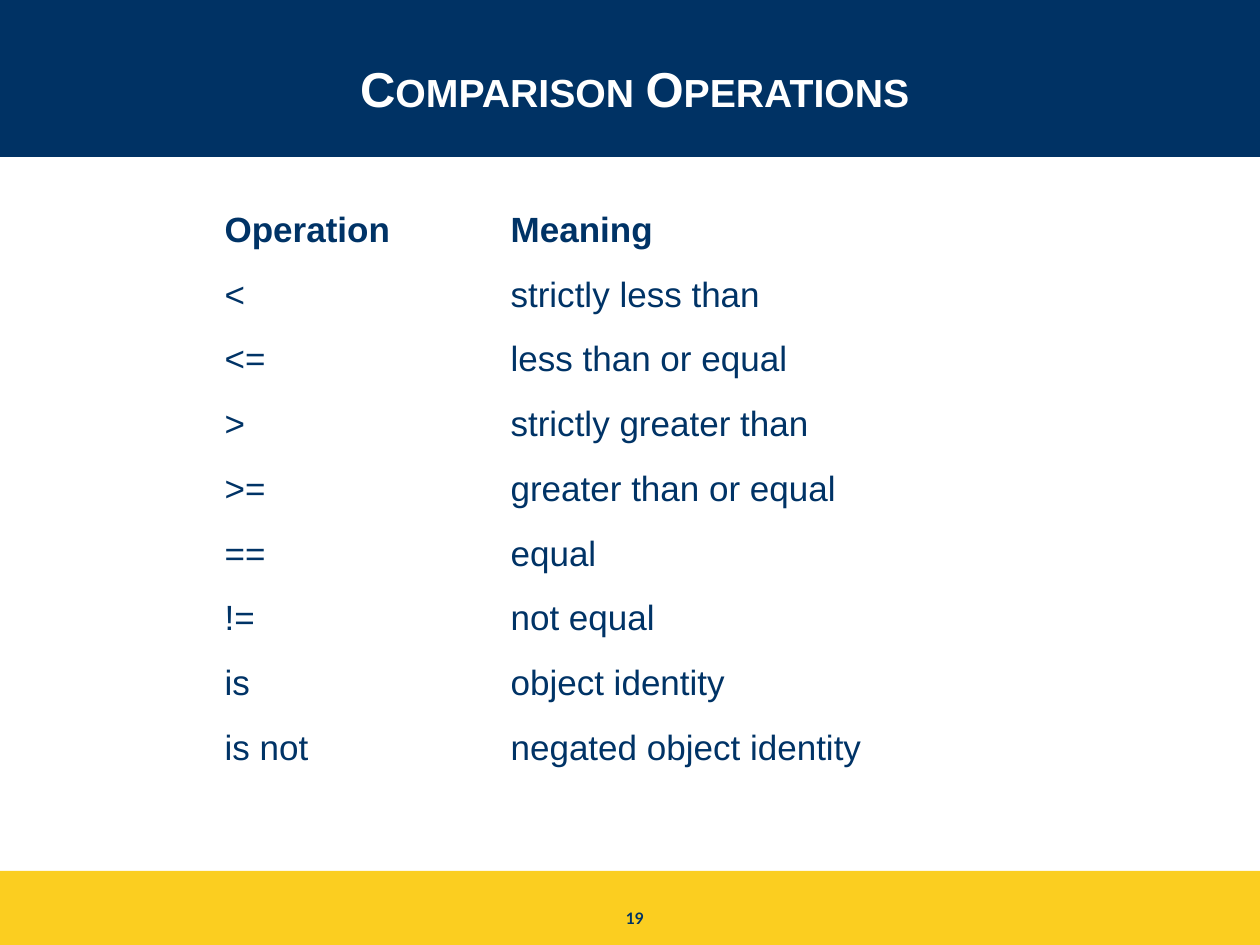
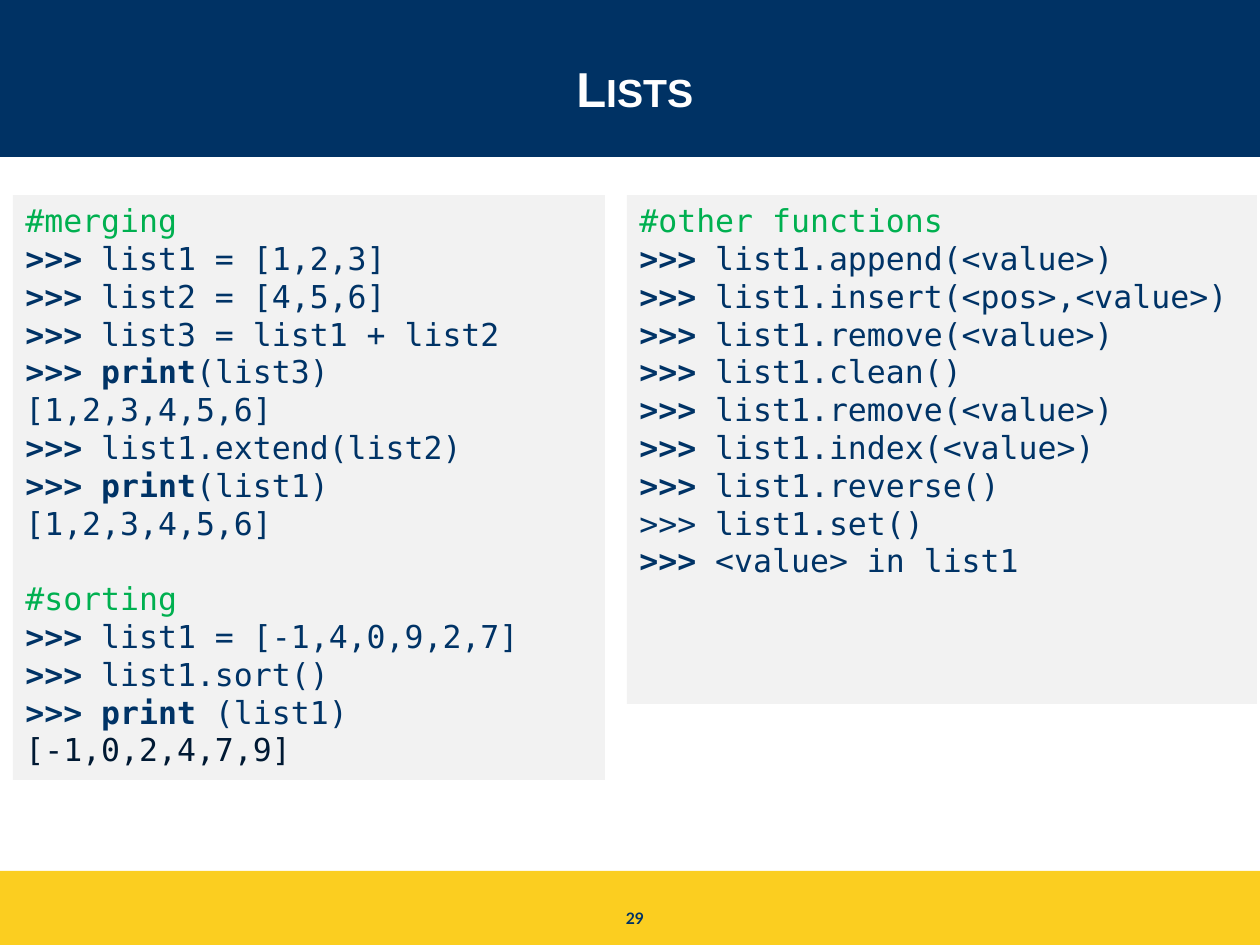
from pptx import Presentation
from pptx.dml.color import RGBColor
from pptx.enum.shapes import MSO_SHAPE
from pptx.enum.text import MSO_ANCHOR, PP_ALIGN
from pptx.util import Pt

RECTANGLE = MSO_SHAPE.RECTANGLE
TOP, MIDDLE = MSO_ANCHOR.TOP, MSO_ANCHOR.MIDDLE
LEFT, CENTER = PP_ALIGN.LEFT, PP_ALIGN.CENTER

EMU_PER_PX = 914400 / 126
PAGE_WIDTH, PAGE_HEIGHT = 1260, 945

COLORS = {
    "navy": "003264",
    "yellow": "FBCE20",
    "white": "FFFFFF",
    "text": "003366",
    "panel": "F2F2F2",
    "comment": "00B050",
    "result": "001933",
}

TITLE = {"name": "Arial", "size": Pt(28), "bold": True}
PAGE_NUMBER = {"name": "Lato", "size": Pt(9), "bold": True}
TABLE_HEAD = {"name": "Arial", "size": Pt(20), "bold": True}
TABLE_BODY = {**TABLE_HEAD, "bold": False}
CODE = {"name": "DejaVu Sans Mono", "size": Pt(18), "bold": False}
CODE_BOLD = {**CODE, "bold": True}
CODE_LINE = Pt(21.6)

OPERATIONS = [
    ("Operation", "Meaning"),
    ("<", "strictly less than"),
    ("<=", "less than or equal"),
    (">", "strictly greater than"),
    (">=", "greater than or equal"),
    ("==", "equal"),
    ("!=", "not equal"),
    ("is", "object identity"),
    ("is not", "negated object identity"),
]


def px(*lengths):
    return [round(length * EMU_PER_PX) for length in lengths]


def rgb(color):
    return RGBColor.from_string(COLORS[color])


def add_span(para, text, style, color):
    span = para.add_run()
    span.text = text
    for name, value in style.items():
        setattr(span.font, name, value)
    span.font.color.rgb = rgb(color)
    return span


def add_rectangle(page, place, color):
    shape = page.shapes.add_shape(RECTANGLE, *px(*place))
    shape.shadow.inherit = False
    shape.fill.solid()
    shape.fill.fore_color.rgb = rgb(color)
    shape.line.fill.background()
    return shape


def add_label(page, place, text, style, color, anchor=TOP):
    box = page.shapes.add_textbox(*px(*place))
    box.text_frame.word_wrap = True
    box.text_frame.vertical_anchor = anchor
    para = box.text_frame.paragraphs[0]
    para.alignment = CENTER
    return add_span(para, text, style, color)


def add_page(deck, title, number):
    """Add a page with the shared bands, its title and its number."""
    page = deck.slides.add_slide(deck.slide_layouts[6])
    add_rectangle(page, (0, 871, PAGE_WIDTH, 74), "yellow")
    add_rectangle(page, (0, 0, PAGE_WIDTH, 157), "navy")
    span = add_label(page, (63, 20, 1144, 136), title, TITLE, "white", MIDDLE)
    span.font._element.set("cap", "small")
    add_label(page, (504, 903, 262, 42), str(number), PAGE_NUMBER, "navy")
    return page


def add_plain_table(page, place, column_widths, rows):
    """Add a table without fills whose first row is bold."""
    frame = page.shapes.add_table(len(rows), len(column_widths), *px(*place))
    table = frame.table
    table.first_row = table.horz_banding = False
    for column, width in zip(table.columns, px(*column_widths)):
        column.width = width
    for row_index, row in enumerate(rows):
        style = TABLE_BODY if row_index else TABLE_HEAD
        for column_index, text in enumerate(row):
            cell = table.cell(row_index, column_index)
            cell.fill.background()
            cell.vertical_anchor = MIDDLE
            add_span(cell.text_frame.paragraphs[0], text, style, "text")


def comment(text):
    return [("#" + text, CODE, "comment")]


def prompt(statement, keyword=""):
    return [(">>> " + keyword, CODE_BOLD, "text"), (statement, CODE, "text")]


def plain(text, color="text"):
    return [(text, CODE, color)]


def add_code_panel(page, place, *blocks):
    """Add a panel of code, with one empty line's height between blocks."""
    frame = add_rectangle(page, place, "panel").text_frame
    frame.word_wrap = True
    frame.vertical_anchor = TOP
    for block_index, block in enumerate(blocks):
        for line_index, line in enumerate(block):
            first = block_index == line_index == 0
            para = frame.paragraphs[0] if first else frame.add_paragraph()
            para.alignment = LEFT
            para.line_spacing = CODE_LINE
            if block_index and not line_index:
                para.space_before = CODE_LINE
            for text, style, color in line:
                add_span(para, text, style, color)


def main():
    deck = Presentation()
    deck.slide_width, deck.slide_height = px(PAGE_WIDTH, PAGE_HEIGHT)

    page = add_page(deck, "Comparison Operations", 19)
    add_plain_table(page, (212, 198, 836, 583), (286, 550), OPERATIONS)

    page = add_page(deck, "Lists", 29)
    merging = [
        comment("merging"),
        prompt("list1 = [1,2,3]"),
        prompt("list2 = [4,5,6]"),
        prompt("list3 = list1 + list2"),
        prompt("(list3)", "print"),
        plain("[1,2,3,4,5,6]"),
        prompt("list1.extend(list2)"),
        prompt("(list1)", "print"),
        plain("[1,2,3,4,5,6]"),
    ]
    sorting = [
        comment("sorting"),
        prompt("list1 = [-1,4,0,9,2,7]"),
        prompt("list1.sort()"),
        prompt("(list1)", "print "),
        plain("[-1,0,2,4,7,9]", "result"),
    ]
    other_functions = [
        comment("other functions"),
        prompt("list1.append(<value>)"),
        prompt("list1.insert(<pos>,<value>)"),
        prompt("list1.remove(<value>)"),
        prompt("list1.clean()"),
        prompt("list1.remove(<value>)"),
        prompt("list1.index(<value>)"),
        prompt("list1.reverse()"),
        plain(">>> list1.set()"),
        prompt("<value> in list1"),
    ]
    add_code_panel(page, (13, 195, 592, 585), merging, sorting)
    add_code_panel(page, (627, 195, 630, 509), other_functions)

    deck.save("out.pptx")


if __name__ == "__main__":
    main()
